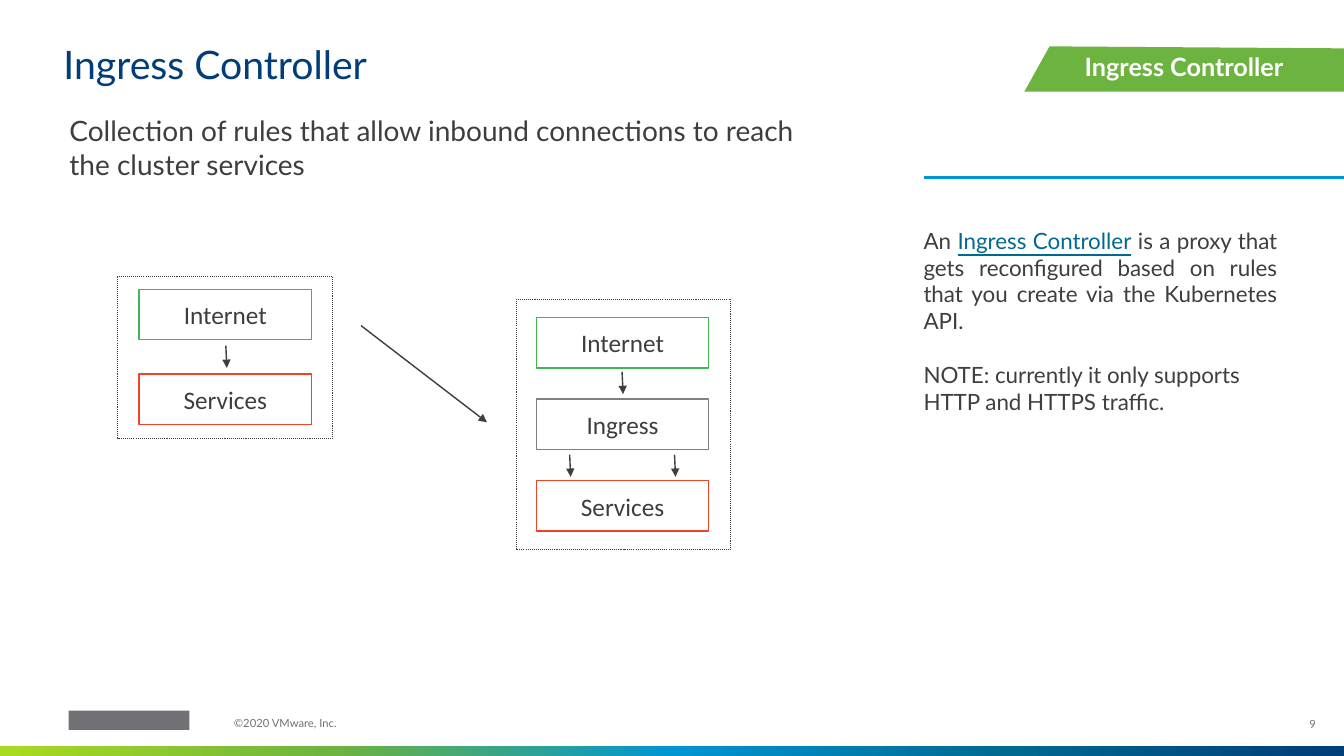
from lxml import etree
from pptx import Presentation
from pptx.dml.color import RGBColor
from pptx.enum.dml import MSO_LINE
from pptx.enum.shapes import MSO_CONNECTOR, MSO_SHAPE
from pptx.enum.text import MSO_ANCHOR, PP_ALIGN
from pptx.oxml.ns import qn
from pptx.util import Inches, Pt

RECTANGLE = MSO_SHAPE.RECTANGLE
STRAIGHT = MSO_CONNECTOR.STRAIGHT
DOTTED = MSO_LINE.ROUND_DOT
TOP, MIDDLE, BOTTOM = MSO_ANCHOR.TOP, MSO_ANCHOR.MIDDLE, MSO_ANCHOR.BOTTOM
LEFT, CENTER, RIGHT, JUSTIFY = PP_ALIGN.LEFT, PP_ALIGN.CENTER, PP_ALIGN.RIGHT, PP_ALIGN.JUSTIFY

WHITE = RGBColor(0xFF, 0xFF, 0xFF)
NAVY = RGBColor(0x00, 0x3D, 0x79)
TEAL = RGBColor(0x00, 0x69, 0x90)
BLUE = RGBColor(0x00, 0x95, 0xD3)
LEAF = RGBColor(0x6D, 0xB3, 0x3F)
LIME = RGBColor(0xAA, 0xDB, 0x1E)
INK = RGBColor(0x3E, 0x3E, 0x40)
NOTE_INK = RGBColor(0x3F, 0x3F, 0x3F)
GREY = RGBColor(0x71, 0x70, 0x74)
INTERNET_GREEN = RGBColor(0x40, 0xB6, 0x54)
INGRESS_GREY = RGBColor(0x7F, 0x7F, 0x7F)
SERVICES_RED = RGBColor(0xEF, 0x43, 0x24)

SLIDE_WIDTH, SLIDE_HEIGHT = 13.33, 7.5
NODE_WIDTH, NODE_HEIGHT = 1.71, 0.5
NO_INSETS = (0, 0, 0, 0)
USUAL_INSETS = (0.1, 0.05, 0.1, 0.05)


class SlideBuilder:
    heading_font = "Lato"
    diagram_font = "Calibri"

    def __init__(self, slide):
        self.slide = slide
        self.shapes = slide.shapes

    def set_text(self, shape, paragraphs, insets=NO_INSETS, anchor=TOP):
        """Fill a shape with (paragraph format, [(text, font format), ...]) pairs."""
        frame = shape.text_frame
        frame_format = {"word_wrap": True, "vertical_anchor": anchor}
        for side, inset in zip(("left", "top", "right", "bottom"), insets):
            frame_format[f"margin_{side}"] = Inches(inset)
        for name, value in frame_format.items():
            setattr(frame, name, value)
        for index, (paragraph_format, runs) in enumerate(paragraphs):
            paragraph = frame.add_paragraph() if index else frame.paragraphs[0]
            for name, value in paragraph_format.items():
                setattr(paragraph, name, value)
            for text, font_format in runs:
                run = paragraph.add_run()
                run.text = text
                self.style_font(run.font, **font_format)

    def style_font(self, font, color=INK, **font_format):
        for name, value in {"name": self.heading_font, **font_format}.items():
            setattr(font, name, value)
        font.color.rgb = color

    def text(self, box, paragraphs, **frame_format):
        shape = self.shapes.add_textbox(*map(Inches, box))
        self.set_text(shape, paragraphs, **frame_format)

    def rectangle(self, box, fill=None, line=None, width=1.0, dash=None):
        shape = self.shapes.add_shape(RECTANGLE, *map(Inches, box))
        self.paint(shape, fill)
        if line is not None:
            shape.line.color.rgb = line
            shape.line.width = Pt(width)
            shape.line.dash_style = dash
        return shape

    def paint(self, shape, fill):
        shape.shadow.inherit = False
        shape.line.fill.background()
        if fill is None:
            shape.fill.background()
        else:
            shape.fill.solid()
            shape.fill.fore_color.rgb = fill

    def gradient_bar(self, box, colors):
        """Draw a left-to-right gradient with evenly spaced colours."""
        bar = self.rectangle(box)
        bar.fill.gradient()
        bar.fill.gradient_angle = 0
        stops = bar._element.spPr.find(".//" + qn("a:gsLst"))
        for stop in list(stops):
            stops.remove(stop)
        for index, color in enumerate(colors):
            position = str(100000 * index // (len(colors) - 1))
            stop = etree.SubElement(stops, qn("a:gs"), pos=position)
            etree.SubElement(stop, qn("a:srgbClr"), val=str(color))

    def banner(self, points, title):
        corners = [(Inches(x), Inches(y)) for x, y in points]
        outline = self.shapes.build_freeform(*corners[0])
        outline.add_line_segments(corners[1:], close=True)
        shape = outline.convert_to_shape()
        self.paint(shape, LEAF)
        font_format = {"size": Pt(18), "bold": True, "color": WHITE}
        self.set_text(shape, [({"alignment": RIGHT}, [(title, font_format)])],
                      insets=(0.3, 0.05, 0.6, 0.1), anchor=MIDDLE)

    def line(self, start, end, color=INK, width=1, arrow=False):
        connector = self.shapes.add_connector(STRAIGHT, *map(Inches, (*start, *end)))
        connector.line.color.rgb = color
        connector.line.width = Pt(width)
        properties = connector._element.spPr
        if arrow:
            etree.SubElement(properties.find(qn("a:ln")), qn("a:tailEnd"), type="triangle")
        etree.SubElement(properties, qn("a:effectLst"))

    def node(self, left, top, label, color):
        shape = self.rectangle((left, top, NODE_WIDTH, NODE_HEIGHT), line=color)
        font_format = {"size": Pt(18), "name": self.diagram_font}
        self.set_text(shape, [({"alignment": CENTER}, [(label, font_format)])],
                      insets=USUAL_INSETS, anchor=MIDDLE)

    def stack(self, frame, left, top, pitch, nodes):
        """Draw a dotted frame around evenly spaced nodes."""
        self.rectangle(frame, line=INK, width=0.75, dash=DOTTED)
        for index, (label, color) in enumerate(nodes):
            self.node(left, top + index * pitch, label, color)


def add_master_parts(builder):
    builder.gradient_bar((0, 7.4, SLIDE_WIDTH, 0.1), (LIME, LEAF, BLUE, TEAL, NAVY))
    builder.rectangle((0.68, 7.05, 1.2, 0.19), fill=GREY)
    builder.line((9.16, 1.76), (SLIDE_WIDTH, 1.76), BLUE, 2)
    small = {"size": Pt(8), "color": GREY}
    builder.text((12.57, 6.99, 0.48, 0.4),
                 [({"alignment": RIGHT, "line_spacing": 0.9}, [("9", small)])], anchor=MIDDLE)
    builder.text((2.32, 7.12, 2.15, 0.16),
                 [({"line_spacing": 0.9}, [("©2020 VMware, Inc.", small)])])


def add_texts(builder):
    title = ("Ingress Controller", {"size": Pt(28), "color": NAVY})
    builder.text((0.63, 0.45, 12.03, 0.42), [({"line_spacing": 0.9}, [title])], anchor=BOTTOM)
    summary = "Collection of rules that allow inbound connections to reach the cluster services"
    builder.text((0.59, 1.08, 7.67, 0.95), [({}, [(summary, {"size": Pt(20)})])],
                 insets=USUAL_INSETS)
    body = {"size": Pt(16)}
    explanation = [
        ("An ", body),
        ("Ingress Controller", {**body, "color": TEAL, "underline": True}),
        (" is a proxy that gets reconfigured based on rules that you create "
         "via the Kubernetes API.", body),
    ]
    note = ("NOTE: currently it only supports HTTP and HTTPS traffic.",
            {**body, "color": NOTE_INK})
    builder.text((9.16, 1.75, 4.16, 5),
                 [({"alignment": JUSTIFY}, explanation),
                  ({"alignment": LEFT, "space_before": Pt(19.2)}, [note])],
                 insets=(0, 0.5, 0.65, 0.5))
    builder.banner([(SLIDE_WIDTH, 0.91), (SLIDE_WIDTH, 0.48), (10.41, 0.46), (10.16, 0.91)],
                   "Ingress Controller")


def add_diagram(builder):
    internet = ("Internet", INTERNET_GREEN)
    ingress = ("Ingress", INGRESS_GREY)
    services = ("Services", SERVICES_RED)
    builder.stack((1.17, 2.74, 2.13, 1.61), 1.38, 2.87, 0.84, [internet, services])
    builder.stack((5.12, 2.97, 2.13, 2.48), 5.32, 3.15, 0.81, [internet, ingress, services])
    for x, y in ((2.24, 3.43), (6.17, 3.69), (5.65, 4.51), (6.69, 4.51)):
        builder.line((x, y), (x + 0.01, y + 0.22), arrow=True)
    builder.line((3.58, 3.23), (4.83, 4.19), arrow=True)


def main():
    presentation = Presentation()
    presentation.slide_width = Inches(SLIDE_WIDTH)
    presentation.slide_height = Inches(SLIDE_HEIGHT)
    builder = SlideBuilder(presentation.slides.add_slide(presentation.slide_layouts[6]))
    add_master_parts(builder)
    add_texts(builder)
    add_diagram(builder)
    presentation.save("out.pptx")


if __name__ == "__main__":
    main()
